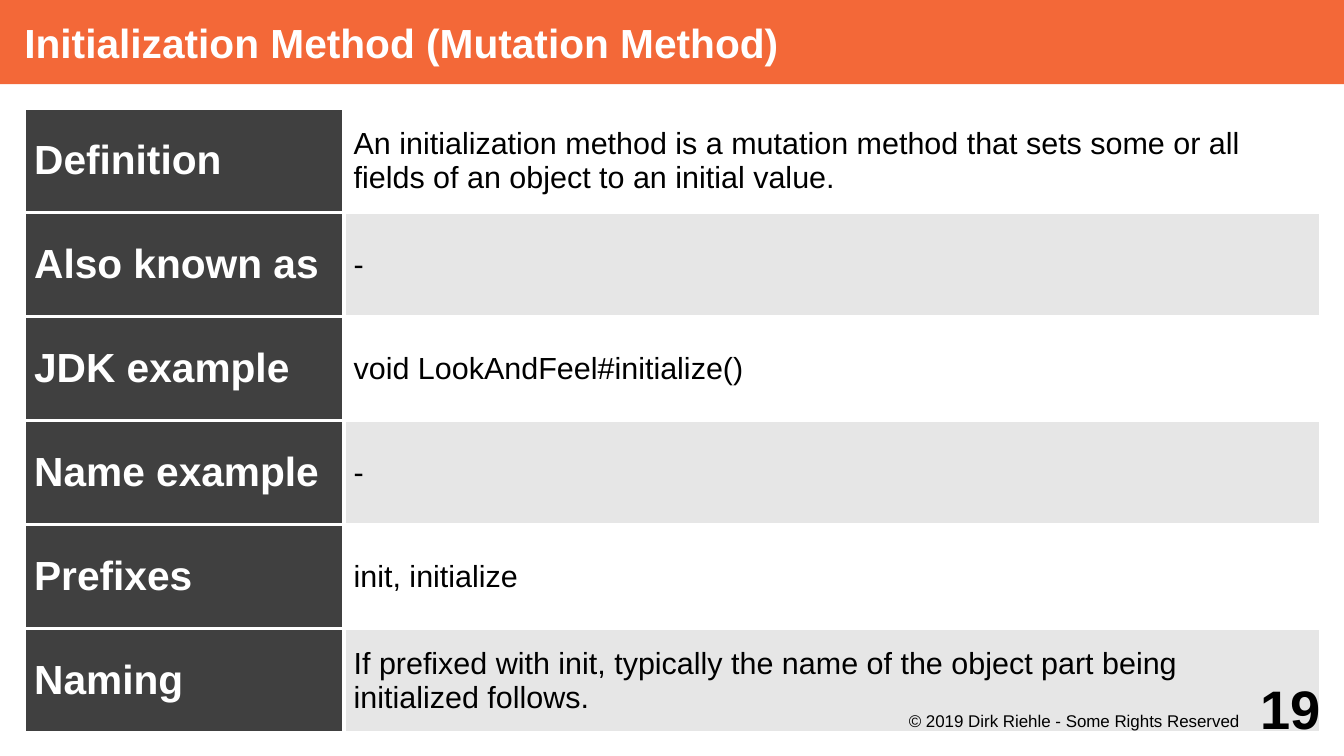
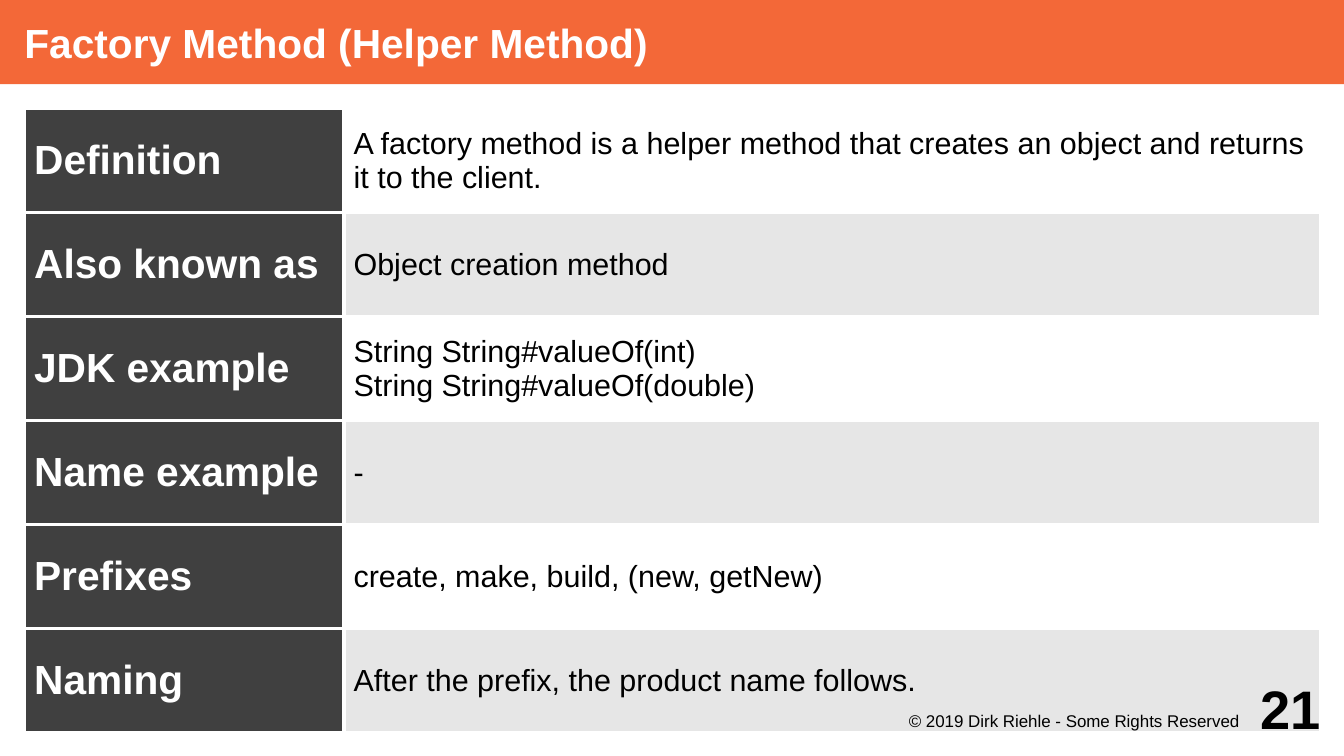
from lxml import etree
from pptx import Presentation
from pptx.dml.color import RGBColor
from pptx.enum import text as t
from pptx.oxml import ns
from pptx.util import Inches, Pt

ORANGE = RGBColor(0xF3, 0x68, 0x38)
DARK = RGBColor(0x40, 0x40, 0x40)
GRAY = RGBColor(0xE6, 0xE6, 0xE6)
WHITE = RGBColor(0xFF, 0xFF, 0xFF)
BLACK = RGBColor(0x00, 0x00, 0x00)
FONT = "Arial"
BORDER_WIDTH = Pt(2.27)
COPYRIGHT = "© 2019 Dirk Riehle - Some Rights Reserved"

LABELS = ["Definition", "Also known as", "JDK example",
          "Name example", "Prefixes", "Naming"]
PAGES = [
    ("Initialization Method (Mutation Method)", "19", [
        "An initialization method is a mutation method that sets some or all "
        "fields of an object to an initial value.",
        "-",
        "void LookAndFeel#initialize()",
        "-",
        "init, initialize",
        "If prefixed with init, typically the name of the object part being "
        "initialized follows.",
    ]),
    ("Factory Method (Helper Method)", "21", [
        "A factory method is a helper method that creates an object and "
        "returns it to the client.",
        "Object creation method",
        "String String#valueOf(int)\nString String#valueOf(double)",
        "-",
        "create, make, build, (new, getNew)",
        "After the prefix, the product name follows.",
    ]),
]


def write(frame, text, size, color, bold, align=t.PP_ALIGN.LEFT):
    frame.text = text
    for paragraph in frame.paragraphs:
        paragraph.alignment = align
        paragraph.font.name = FONT
        paragraph.font.size = Pt(size)
        paragraph.font.bold = bold
        paragraph.font.color.rgb = color


def set_frame(frame, anchor, left=0, top=0, right=0):
    """Set anchor and margins of a text frame with a fixed size."""
    frame.word_wrap = True
    frame.auto_size = t.MSO_AUTO_SIZE.NONE
    frame.vertical_anchor = anchor
    frame.margin_left, frame.margin_top = Inches(left), Inches(top)
    frame.margin_right, frame.margin_bottom = Inches(right), 0


presentation = Presentation()
presentation.slide_width = Inches(11.02)
presentation.slide_height = Inches(6.2)

for title_text, number, descriptions in PAGES:
    slide = presentation.slides.add_slide(presentation.slide_layouts[5])

    title = slide.shapes.title
    title.left, title.top = 0, 0
    title.width, title.height = presentation.slide_width, Inches(0.69)
    title.fill.solid()
    title.fill.fore_color.rgb = ORANGE
    set_frame(title.text_frame, t.MSO_ANCHOR.MIDDLE, left=0.2)
    write(title.text_frame, title_text, 24, WHITE, True)

    table = slide.shapes.add_table(
        len(LABELS), 2, Inches(0.2), Inches(0.89), Inches(10.63), Inches(5.12)).table
    table.first_row = table.horz_banding = False
    table.columns[0].width = Inches(2.62)
    table.columns[1].width = Inches(8.01)

    for row, (label, description) in enumerate(zip(LABELS, descriptions)):
        band = GRAY if row % 2 else WHITE
        styles = [(label, 24, WHITE, True, DARK),
                  (description, 18, BLACK, False, band)]
        for column, (text, size, color, bold, fill) in enumerate(styles):
            cell = table.cell(row, column)
            write(cell.text_frame, text, size, color, bold)
            cell.vertical_anchor = t.MSO_ANCHOR.MIDDLE
            cell.margin_left = cell.margin_right = Inches(0.08)
            cell.margin_top = cell.margin_bottom = Inches(0.05)
            properties = cell._tc.get_or_add_tcPr()
            for side in ("lnL", "lnR", "lnT", "lnB"):
                line = etree.SubElement(properties, ns.qn(f"a:{side}"), w=str(BORDER_WIDTH))
                line_fill = etree.SubElement(line, ns.qn("a:solidFill"))
                etree.SubElement(line_fill, ns.qn("a:srgbClr"), val=str(WHITE))
            cell.fill.solid()
            cell.fill.fore_color.rgb = fill

    footer = slide.shapes.add_textbox(Inches(7.09), Inches(5.81), Inches(3.15), Inches(0.3))
    set_frame(footer.text_frame, t.MSO_ANCHOR.TOP, top=0.02, right=0.08)
    write(footer.text_frame, COPYRIGHT, 10, BLACK, False, t.PP_ALIGN.RIGHT)

    page_number = slide.shapes.add_textbox(Inches(10.04), Inches(5.51), Inches(0.79), Inches(0.59))
    set_frame(page_number.text_frame, t.MSO_ANCHOR.MIDDLE)
    write(page_number.text_frame, number, 32, BLACK, True, t.PP_ALIGN.RIGHT)

presentation.save("out.pptx")
